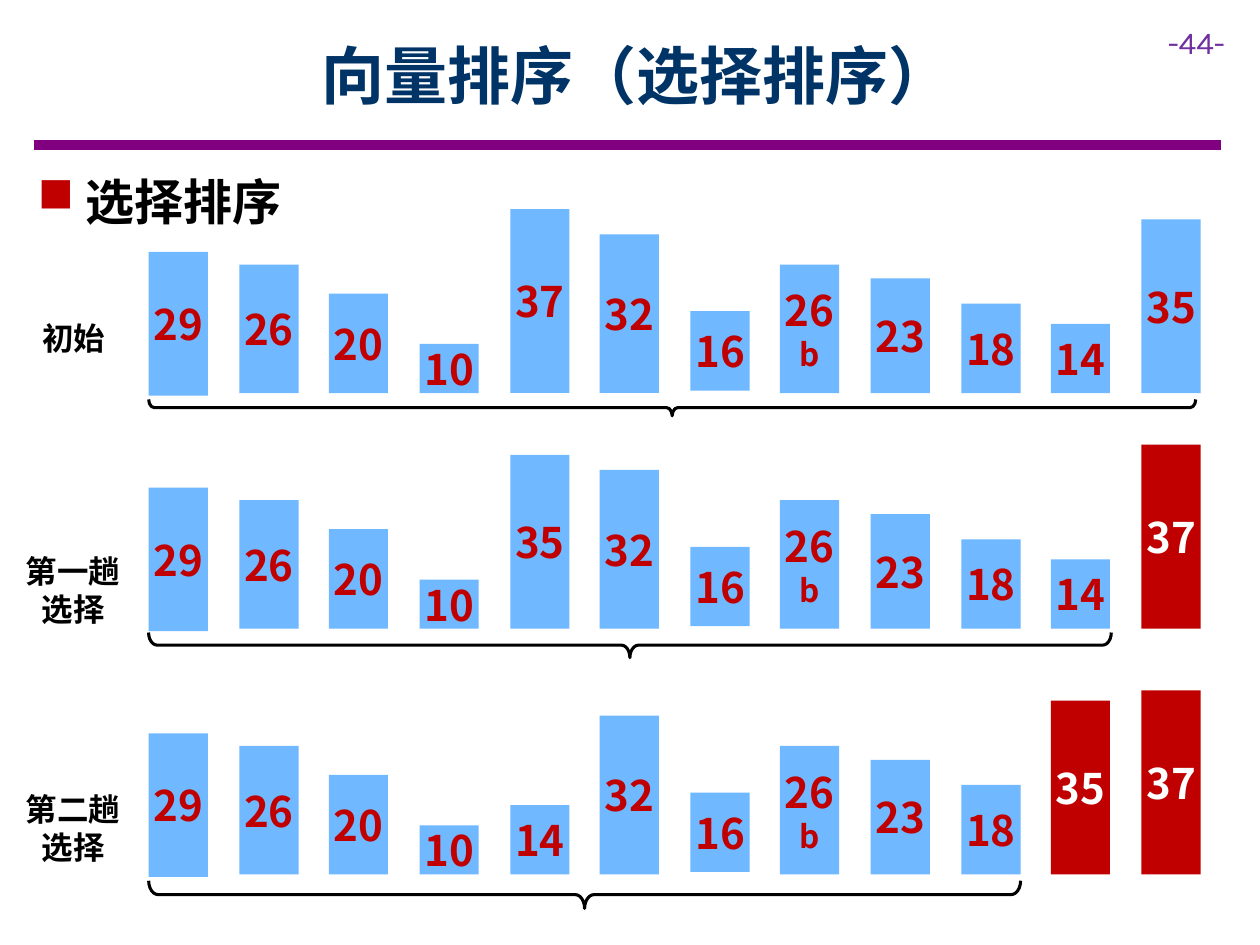
from lxml.etree import SubElement
from pptx import Presentation
from pptx.dml.color import RGBColor
from pptx.enum.shapes import MSO_CONNECTOR, MSO_SHAPE
from pptx.enum.text import MSO_ANCHOR, MSO_AUTO_SIZE, PP_ALIGN
from pptx.oxml.ns import qn
from pptx.util import Pt

PX = 9144
CJK = "Noto Sans CJK SC"
RED, BLUE, WHITE, BLACK = "C00000", "70B8FF", "FFFFFF", "000000"
FIRST_LEFT, LAST_LEFT, BAR_WIDTH = 118, 906, 47
HEIGHT_PER_UNIT = 3.94
BASE_SHIFT = {29: 2, 16: -2}

PASSES = [
    {"label": "初始", "label_box": (23, 248, 71, 40), "base": 312, "sorted": 0,
     "values": "29 26 20 10 37 32 16 26b 23 18 14 35", "brace": (317, 831, 13)},
    {"label": "第一趟\n选择", "label_box": (10, 433, 96, 71), "base": 499, "sorted": 1,
     "values": "29 26 20 10 35 32 16 26b 23 18 14 37", "brace": (502, 764, 20)},
    {"label": "第二趟\n选择", "label_box": (10, 622, 96, 71), "base": 694, "sorted": 2,
     "values": "29 26 20 10 14 32 16 26b 23 18 35 37", "brace": (699, 692, 22)},
]


def px(*lengths):
    """Turn px lengths into a list of EMU."""
    return [round(length * PX) for length in lengths]


def rgb(color):
    """Turn a hex string into a colour."""
    return RGBColor.from_string(color)


def style(paragraph, size, color, font=CJK, bold=True, align=None):
    """Set the alignment and font of a whole paragraph."""
    paragraph.alignment = align
    face = paragraph.font
    face.size, face.bold, face.name = Pt(size), bold, font
    face.color.rgb = rgb(color)
    defaults = paragraph._p.pPr.find(qn("a:defRPr"))
    SubElement(defaults, qn("a:ea"), typeface=font)


def add_text(slide, box, text, size, color, wrap=True, **look):
    """Add a text box, one paragraph for each line."""
    frame = slide.shapes.add_textbox(*px(*box)).text_frame
    frame.word_wrap = wrap
    frame.auto_size = MSO_AUTO_SIZE.SHAPE_TO_FIT_TEXT
    frame.text = text
    for paragraph in frame.paragraphs:
        style(paragraph, size, color, **look)
    return frame


def add_title(slide, text):
    """Add the centred slide title."""
    frame = add_text(slide, (90, 9, 831, 100), text, 36, "003366", align=PP_ALIGN.CENTER)
    frame.auto_size = MSO_AUTO_SIZE.NONE
    frame.vertical_anchor = MSO_ANCHOR.MIDDLE


def add_topic(slide, text):
    """Add the topic line with its square bullet."""
    frame = slide.shapes.add_textbox(*px(20, 131, 945, 57)).text_frame
    frame.word_wrap = True
    frame.auto_size = MSO_AUTO_SIZE.SHAPE_TO_FIT_TEXT
    topic = frame.paragraphs[0]
    topic.text = text
    topic.space_after = Pt(6)
    indent, hanging = px(38, -38)
    properties = topic._p.get_or_add_pPr()
    properties.set("marL", str(indent))
    properties.set("indent", str(hanging))
    bullet_color = SubElement(properties, qn("a:buClr"))
    SubElement(bullet_color, qn("a:srgbClr"), val=RED)
    SubElement(properties, qn("a:buChar"), char="■")
    style(topic, 28, BLACK)


def add_rule(slide, left, right, top, color, width):
    """Add the horizontal rule under the title."""
    rule = slide.shapes.add_connector(MSO_CONNECTOR.STRAIGHT, *px(left, top, right, top))
    rule.line.color.rgb = rgb(color)
    rule.line.width = Pt(width)
    SubElement(rule._element.spPr, qn("a:effectLst"))


def add_bar(slide, column, label, base, is_sorted):
    """Add one bar whose height follows its value."""
    value, mark = int(label[:2]), label[2:]
    left = FIRST_LEFT + round(column * (LAST_LEFT - FIRST_LEFT) / 11)
    height = round(value * HEIGHT_PER_UNIT)
    top = base + BASE_SHIFT.get(value, 0) - height
    bar = slide.shapes.add_shape(MSO_SHAPE.RECTANGLE, *px(left, top, BAR_WIDTH, height))
    bar.shadow.inherit = False
    bar.fill.solid()
    bar.fill.fore_color.rgb = rgb(RED if is_sorted else BLUE)
    bar.line.fill.background()
    frame = bar.text_frame
    frame.margin_left = frame.margin_right = 0
    frame.margin_top = frame.margin_bottom = px(10)[0]
    frame.vertical_anchor = MSO_ANCHOR.MIDDLE
    frame.text = f"{value}\n{mark}" if mark else str(value)
    for paragraph, size in zip(frame.paragraphs, (24, 18)):
        style(paragraph, size, WHITE if is_sorted else RED, align=PP_ALIGN.CENTER)


def add_brace(slide, top, span, depth):
    """Add a downward brace under the unsorted bars."""
    left = FIRST_LEFT + (span - depth) / 2
    brace = slide.shapes.add_shape(
        MSO_SHAPE.LEFT_BRACE, *px(left, top - (span - depth) / 2, depth, span))
    brace.rotation = 270
    brace.adjustments[0] = 0.34
    brace.shadow.inherit = False
    brace.fill.solid()
    brace.fill.fore_color.rgb = rgb(WHITE)
    brace.line.color.rgb = rgb(BLACK)
    brace.line.width = Pt(1.75)


def add_pass(slide, step):
    """Add one sorting pass: bars, brace and label."""
    labels = step["values"].split()
    unsorted = len(labels) - step["sorted"]
    for column, label in enumerate(labels):
        add_bar(slide, column, label, step["base"], column >= unsorted)
    add_brace(slide, *step["brace"])
    add_text(slide, step["label_box"], step["label"], 18, BLACK,
             wrap=False, align=PP_ALIGN.CENTER)


def main():
    """Build the selection sort slide."""
    deck = Presentation()
    deck.slide_width, deck.slide_height = px(1000, 750)
    slide = deck.slides.add_slide(deck.slide_layouts[6])
    add_rule(slide, 27, 969, 115, "800080", 6)
    add_text(slide, (917, 13, 83, 40), "-44-", 18, "7030A0", font="Karla", bold=False)
    add_topic(slide, "选择排序")
    add_title(slide, "向量排序（选择排序）")
    for step in PASSES:
        add_pass(slide, step)
    deck.save("out.pptx")


if __name__ == "__main__":
    main()
